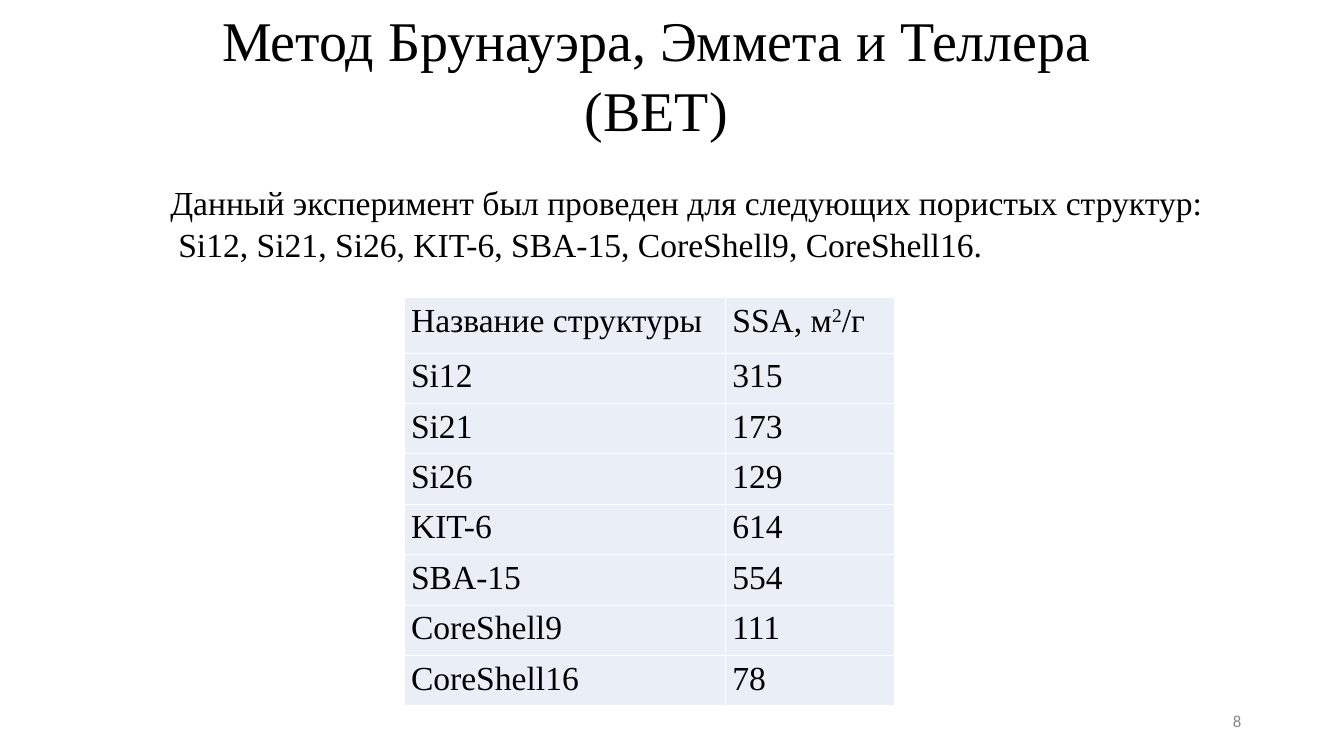
import pptx
import pptx.util
import pptx.dml.color
import pptx.enum.text
import pptx.oxml
from pptx.util import Inches

# Content
TITLE = "Метод Брунауэра, Эммета и Теллера (BET)"
INTRO = [
    "Данный эксперимент был проведен для следующих пористых структур:",
    "Si12, Si21, Si26, KIT-6, SBA-15, CoreShell9, CoreShell16.",
]
HEADER = ["Название структуры", "SSA, м^2^/г"]  # ^...^ marks a superscript
AREAS = [
    ("Si12", 315),
    ("Si21", 173),
    ("Si26", 129),
    ("KIT-6", 614),
    ("SBA-15", 554),
    ("CoreShell9", 111),
    ("CoreShell16", 78),
]
PAGE = "8"

# Look
COLORS = {"text": "000000", "page": "898989", "cell": "EAEFF7", "border": "FFFFFF"}
COL_WIDTHS = [3.19, 1.68]
HEADER_HEIGHT, ROW_HEIGHT = 0.55, 0.5
NS = 'xmlns:a="http://schemas.openxmlformats.org/drawingml/2006/main"'
ALIGN = pptx.enum.text.PP_ALIGN
ANCHOR = pptx.enum.text.MSO_ANCHOR


def rgb(name):
    return pptx.dml.color.RGBColor.from_string(COLORS[name])


def write(p, text, size=24, font="Times New Roman", color="text",
          align=ALIGN.LEFT, spacing=1.0):
    p.alignment = align
    p.line_spacing = spacing
    p.space_before = pptx.util.Pt(0)
    for i, part in enumerate(text.split("^")):
        r = p.add_run()
        r.text = part
        r.font.size = pptx.util.Pt(size)
        r.font.name = font
        r.font.color.rgb = rgb(color)
        if i % 2:
            r.font._element.set("baseline", "30000")


def place(sp, left, top, width, height, anchor=ANCHOR.TOP):
    sp.left, sp.top = Inches(left), Inches(top)
    sp.width, sp.height = Inches(width), Inches(height)
    tf = sp.text_frame
    tf.word_wrap = True
    tf.auto_size = pptx.enum.text.MSO_AUTO_SIZE.NONE
    tf.vertical_anchor = anchor
    return tf


def add_borders(cell):
    tcPr = cell._tc.get_or_add_tcPr()
    for i, side in enumerate(("lnL", "lnR", "lnT", "lnB")):
        tcPr.insert(i, pptx.oxml.parse_xml(
            f'<a:{side} {NS} w="{pptx.util.Pt(0.45)}"><a:solidFill>'
            f'<a:srgbClr val="{COLORS["border"]}"/></a:solidFill></a:{side}>'))


prs = pptx.Presentation()
prs.slide_width, prs.slide_height = Inches(13.34), Inches(7.5)
s = prs.slides.add_slide(prs.slide_layouts[1])

# Title
tf = place(s.shapes.title, 1.88, -0.02, 9.27, 1.44)
write(tf.paragraphs[0], TITLE, size=40, align=ALIGN.CENTER, spacing=1.04)

# Introduction, second line slightly indented
tf = place(s.placeholders[1], 1.59, 1.74, 10.6, 0.9)
for i, line in enumerate(INTRO):
    p = tf.add_paragraph() if i else tf.paragraphs[0]
    pPr = p._p.get_or_add_pPr()
    pPr.set("marL", str(Inches(0.08 * i)))
    pPr.set("indent", "0")
    pPr.append(pptx.oxml.parse_xml(f"<a:buNone {NS}/>"))
    write(p, line, spacing=1.04)

# Table of surface areas
rows = [HEADER] + AREAS
heights = [HEADER_HEIGHT] + [ROW_HEIGHT] * len(AREAS)
table = s.shapes.add_table(
    len(rows), len(COL_WIDTHS), Inches(4.01), Inches(2.95),
    Inches(sum(COL_WIDTHS)), Inches(sum(heights))).table
for col, width in zip(table.columns, COL_WIDTHS):
    col.width = Inches(width)
for i, (row, height) in enumerate(zip(rows, heights)):
    table.rows[i].height = Inches(height)
    for j, value in enumerate(row):
        cell = table.cell(i, j)
        cell.margin_left = cell.margin_right = Inches(0.07)
        cell.margin_top = cell.margin_bottom = Inches(0.05)
        cell.fill.solid()
        cell.fill.fore_color.rgb = rgb("cell")
        add_borders(cell)
        write(cell.text_frame.paragraphs[0], str(value))

# Page number
sp = s.shapes.add_textbox(0, 0, 0, 0)
tf = place(sp, 9.42, 6.95, 3, 0.4, anchor=ANCHOR.MIDDLE)
write(tf.paragraphs[0], PAGE, size=12, font="Calibri", color="page", align=ALIGN.RIGHT)

prs.save("out.pptx")
